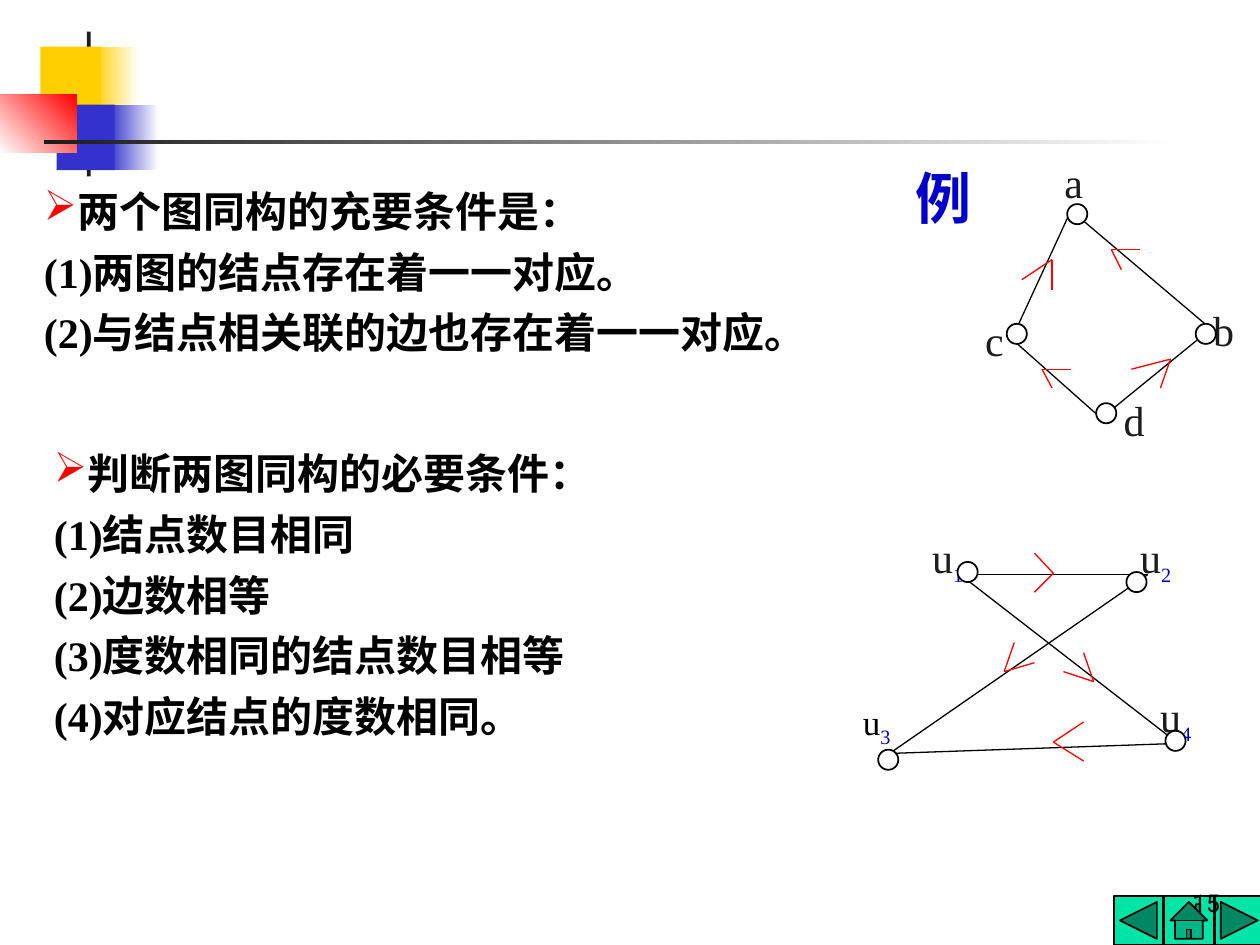
from lxml.etree import SubElement
from pptx import Presentation
from pptx.dml.color import RGBColor
from pptx.enum.shapes import MSO_CONNECTOR, MSO_SHAPE
from pptx.enum.text import MSO_ANCHOR, PP_ALIGN
from pptx.oxml.ns import qn
from pptx.util import Inches, Pt

COLUMNS, ROWS = 100, 75
WIDTH, HEIGHT = Inches(10), Inches(7.5)
BLACK, WHITE, INK = "000000", "FFFFFF", "1C1C1C"
RED, BLUE, NAVY, YELLOW, GREEN = "FF0000", "0000CC", "3333CC", "FFCF01", "00E4A8"


def color(value):
    return RGBColor.from_string(value)


class GridPage:
    """Draws on one slide; every length is in grid columns and rows."""

    font = "Times New Roman"
    text_size = 24
    thin = 0.75

    def __init__(self, deck):
        self.page = deck.slides.add_slide(deck.slide_layouts[6])

    def place(self, *lengths):
        steps = (WIDTH / COLUMNS, HEIGHT / ROWS) * 2
        return [round(length * step) for length, step in zip(lengths, steps)]

    def shape(self, kind, at, fill, line=None, fade=None, angle=0):
        """Add a preset shape, fading from fill to fade where fade is given."""
        shape = self.page.shapes.add_shape(kind, *self.place(*at))
        shape.shadow.inherit = False
        if fade:
            shape.fill.gradient()
            shape.fill.gradient_angle = angle
            for stop, value in zip(shape.fill.gradient_stops, (fill, fade)):
                stop.color.rgb = color(value)
        else:
            shape.fill.solid()
            shape.fill.fore_color.rgb = color(fill)
        if line:
            shape.line.color.rgb = color(line)
            shape.line.width = Pt(1)
        else:
            shape.line.fill.background()

    def line(self, start, end, value=BLACK):
        line = self.page.shapes.add_connector(
            MSO_CONNECTOR.STRAIGHT, *self.place(*start, *end))
        line.line.color.rgb = color(value)
        line.line.width = Pt(self.thin)
        SubElement(line._element.spPr, qn("a:effectLst"))

    def arrowhead(self, tip, *tails):
        for tail in tails:
            self.line(tip, tail, RED)

    def style(self, span, size, value, bold=False, font=None):
        span.font.name = font or self.font
        span.font.size = Pt(size)
        span.font.bold = bold
        span.font.color.rgb = color(value)

    def text(self, at, words, size=text_size, value=BLACK, bold=False, font=None):
        box = self.page.shapes.add_textbox(*self.place(*at))
        frame = box.text_frame
        frame.word_wrap = True
        frame.text = words
        for paragraph in frame.paragraphs:
            for span in paragraph.runs:
                self.style(span, size, value, bold, font)
        return frame

    def conditions(self, at, lines):
        """Add a bold list whose first line carries a red arrow bullet."""
        frame = self.text(at, "\n".join(lines), bold=True)
        heading, *items = frame.paragraphs
        properties = heading._p.get_or_add_pPr()
        properties.set("marL", "0")
        properties.set("indent", "0")
        bullet_color = SubElement(properties, qn("a:buClr"))
        SubElement(bullet_color, qn("a:srgbClr"), val=RED)
        SubElement(properties, qn("a:buChar"), char="➢")
        for item in items:
            item.space_before = Pt(6)

    def label(self, corner, name, size=text_size, value=INK):
        """Name a node; a digit after the letter becomes a subscript."""
        letter, digit = name[0], name[1:]
        extent = (6.3, 5.4) if digit else (4.7, 5)
        frame = self.text((*corner, *extent), letter, size, value)
        if digit:
            span = frame.paragraphs[0].add_run()
            span.text = digit
            self.style(span, 20, BLUE)
            span.font._element.set("baseline", "-25000")

    def node(self, corner):
        self.shape(MSO_SHAPE.FLOWCHART_CONNECTOR, (*corner, 1.6, 1.6), WHITE, BLACK)


# node: (where its edges meet, corner of its circle, corner of its label)
NODES = {
    "a": ((85, 16.7), (84.7, 16.2), (83.5, 11.9)),
    "b": ((96.1, 26.1), (94.9, 25.7), (95.3, 23.7)),
    "c": ((80.3, 26.9), (79.9, 25.7), (77.2, 24.5)),
    "d": ((87.4, 33.2), (87, 32), (88.2, 30.8)),
    "u1": ((76.2, 45.6), (76, 44.6), (73, 41.7)),
    "u2": ((91.1, 45.6), (89.4, 45.4), (89.5, 41.7)),
    "u3": ((70.6, 59.8), (69.7, 59.5), (67.5, 55.1)),
    "u4": ((93.5, 59), (92.5, 58), (91.1, 54.3)),
}
EDGES = [("b", "a"), ("a", "c"), ("d", "b"), ("d", "c"),
         ("u4", "u1"), ("u2", "u1"), ("u3", "u2"), ("u4", "u3")]
# tip of each arrowhead, then the ends of its two strokes
ARROWHEADS = [
    ((82.7, 29.3), (83.5, 30.8), (85, 29.3)),
    ((88.2, 19.8), (89, 21.4), (90.5, 19.8)),
    ((83.5, 20.6), (83.5, 23), (81.1, 22.2)),
    ((92.9, 28.5), (92.1, 30.8), (89.8, 29.3)),
    ((83.6, 45.5), (82.1, 47), (82.1, 43.9)),
    ((83.6, 58.9), (86, 60.4), (86, 57.3)),
    ((79.7, 53.3), (82.1, 52.6), (80.5, 51)),
    ((86.8, 54.1), (84.4, 53.3), (86, 51.8)),
]
BUTTONS = [MSO_SHAPE.ACTION_BUTTON_BACK_OR_PREVIOUS,
           MSO_SHAPE.ACTION_BUTTON_HOME,
           MSO_SHAPE.ACTION_BUTTON_FORWARD_OR_NEXT]


def draw_frame(grid):
    block = MSO_SHAPE.RECTANGLE
    grid.shape(block, (7.4, 3.7, 3.6, 5.2), YELLOW, fade=WHITE)
    grid.shape(block, (8.6, 8.3, 4, 5.2), NAVY, fade=WHITE)
    grid.shape(block, (6.9, 2.5, 0.3, 11.5), INK)
    grid.shape(block, (3.2, 3.7, 4.8, 5.2), YELLOW)
    grid.shape(block, (4.5, 8.3, 4.6, 5.2), NAVY)
    grid.shape(block, (0, 7.5, 6.1, 4.6), WHITE, fade=RED, angle=45)
    grid.shape(block, (3.5, 11.1, 90, 0.3), INK, fade=WHITE)
    for index, kind in enumerate(BUTTONS):
        grid.shape(kind, (88.4 + 4 * index, 71.1, 3.9, 3.9), GREEN, BLACK)
    number = grid.text((77, 68.3, 20.8, 5), "15", 14, font="Roboto")
    number.vertical_anchor = MSO_ANCHOR.BOTTOM
    number.paragraphs[0].alignment = PP_ALIGN.RIGHT


def draw_graphs(grid):
    for start, end in EDGES:
        grid.line(NODES[start][0], NODES[end][0])
    for name, (_, _, corner) in NODES.items():
        if name == "u3":
            grid.label(corner, name, 20, BLACK)
        else:
            grid.label(corner, name)
    for strokes in ARROWHEADS:
        grid.arrowhead(*strokes)
    for _, corner, _ in NODES.values():
        grid.node(corner)


def main():
    deck = Presentation()
    deck.slide_width, deck.slide_height = WIDTH, HEIGHT
    grid = GridPage(deck)
    draw_frame(grid)
    grid.conditions((2.5, 14.2, 65, 14.7), [
        "两个图同构的充要条件是：",
        "(1)两图的结点存在着一一对应。",
        "(2)与结点相关联的边也存在着一一对应。",
    ])
    grid.conditions((3.3, 35, 64, 24.4), [
        "判断两图同构的必要条件：",
        "(1)结点数目相同",
        "(2)边数相等",
        "(3)度数相同的结点数目相等",
        "(4)对应结点的度数相同。",
    ])
    grid.text((71.7, 12.5, 9, 6.4), "例", 32, BLUE, bold=True)
    draw_graphs(grid)
    deck.save("out.pptx")


if __name__ == "__main__":
    main()
